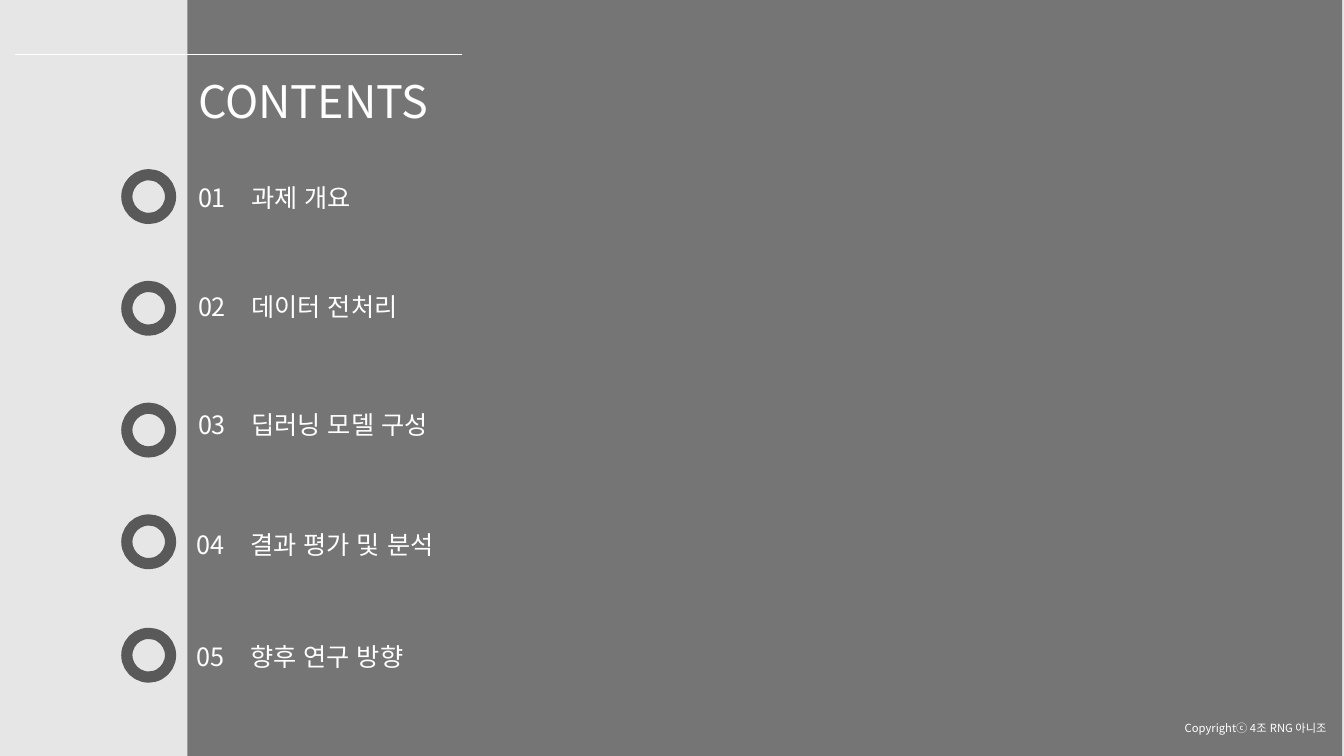
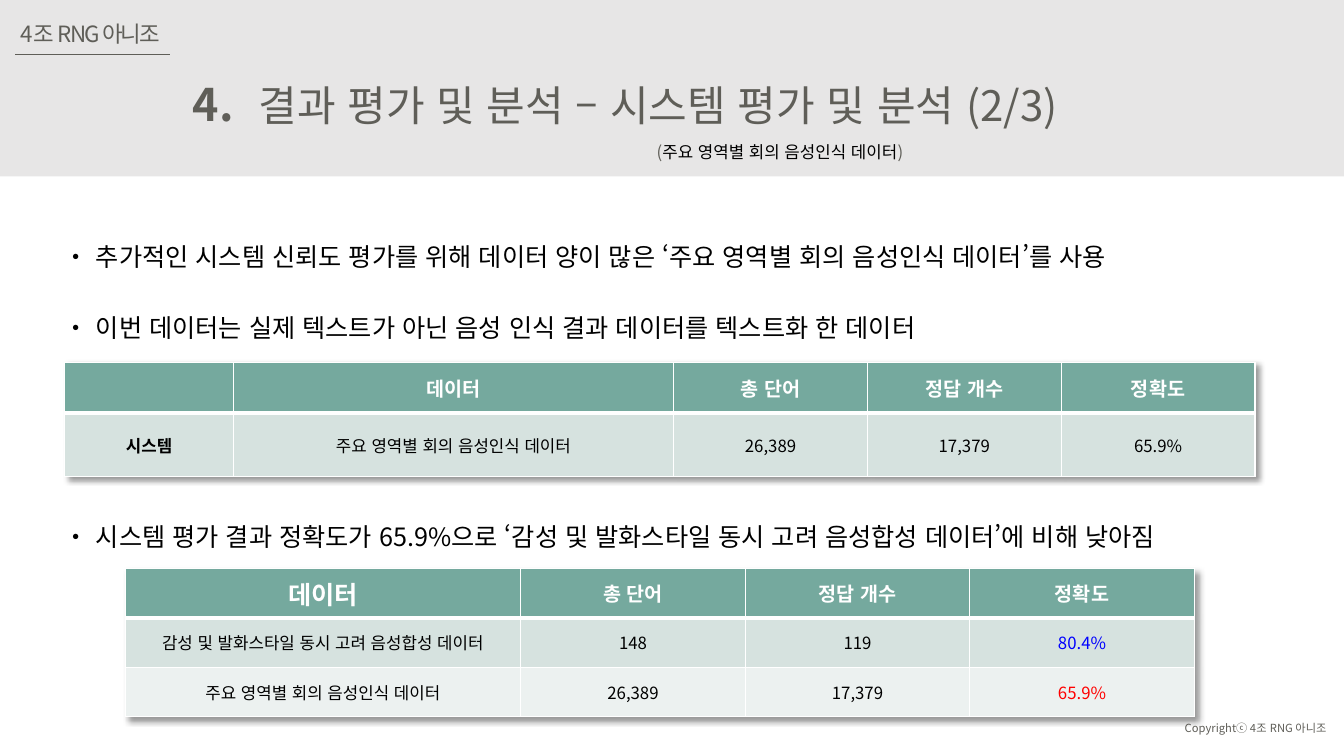
"""Build the contents slide and the system evaluation slide of a project deck."""
from dataclasses import dataclass
from typing import Any

import lxml.etree
import pptx
import pptx.dml.color
import pptx.enum.lang
import pptx.enum.shapes
import pptx.enum.text
import pptx.oxml.ns
import pptx.slide
import pptx.text.text
import pptx.util

COLUMNS, ROWS = 160, 90
WIDTH, HEIGHT = pptx.util.Inches(13.3333), pptx.util.Inches(7.5)
FONT = "Noto Sans CJK KR"
WHITE, BLACK, PALE = "FFFFFF", "000000", "E7E6E6"
DARK, INK = "595959", "5F5E58"
TEAL, TEAL_LIGHT, TEAL_FAINT = "75A99E", "D6E2DF", "ECF1F0"
BLUE, RED = "0000FF", "FF0000"
ALIGN = pptx.enum.text.PP_ALIGN
SHAPE = pptx.enum.shapes.MSO_SHAPE
RULE_LEFT, RULE_TOP = 1.8, 6.5
TEAM = "4조 RNG 아니조"
MEETING_DATA = "주요 영역별 회의 음성인식 데이터"


@dataclass(frozen=True)
class Box:
    """Place on the grid, in columns and rows."""
    left: float
    top: float
    width: float
    height: float

    def emu(self) -> tuple[int, int, int, int]:
        """Return left, top, width and height in EMU."""
        return col(self.left), row(self.top), col(self.width), row(self.height)


@dataclass(frozen=True)
class Style:
    """Look of a piece of text."""
    size: float
    color: str
    bold: bool = False
    align: Any = ALIGN.LEFT
    tracking: float = 0


@dataclass(frozen=True)
class Chapter:
    """One entry of the contents list."""
    label: str
    ring_top: float
    text_top: float
    shift: float = 0


@dataclass(frozen=True)
class Grid:
    """A table with its place, track sizes and cell texts."""
    left: float
    top: float
    widths: list[float]
    heights: list[float]
    cells: list[list[str]]
    special: dict[tuple[int, int], Style]


HEAD = Style(14, WHITE, True, ALIGN.CENTER)
CELL = Style(12, BLACK, False, ALIGN.CENTER)

CHAPTERS = [
    Chapter("과제 개요", 20.8, 21.1),
    Chapter("데이터 전처리", 34.1, 34.1),
    Chapter("딥러닝 모델 구성", 48.6, 48.2),
    Chapter("결과 평가 및 분석", 61.9, 62.4, -0.15),
    Chapter("향후 연구 방향", 75.4, 75.8, -0.15),
]
FINDINGS = [
    "‧ 추가적인 시스템 신뢰도 평가를 위해 데이터 양이 많은 ‘주요 영역별 회의 음성인식 데이터’를 사용",
    "‧ 이번 데이터는 실제 텍스트가 아닌 음성 인식 결과 데이터를 텍스트화 한 데이터",
    "‧ 시스템 평가 결과 정확도가 65.9%으로 ‘감성 및 발화스타일 동시 고려 음성합성 데이터’에 비해 낮아짐",
]
MEASURES = ["데이터", "총 단어", "정답 개수", "정확도"]
MEETING_ROW = [MEETING_DATA, "26,389", "17,379", "65.9%"]
TABLES = [
    Grid(7.7, 43.2, [20.1, 52.4] + [23.07] * 3, [6, 7.5],
         [["", *MEASURES], ["시스템", *MEETING_ROW]],
         {(1, 0): Style(12, BLACK, True, ALIGN.CENTER)}),
    Grid(14.9, 67.7, [47.1] + [26.73] * 3, [5.87] * 3,
         [MEASURES,
          ["감성 및 발화스타일 동시 고려 음성합성 데이터", "148", "119", "80.4%"],
          MEETING_ROW],
         {(0, 0): Style(18, WHITE, True, ALIGN.CENTER),
          (1, 3): Style(12, BLUE, False, ALIGN.CENTER),
          (2, 3): Style(12, RED, False, ALIGN.CENTER)}),
]


def col(n: float) -> int:
    """Convert grid columns to EMU."""
    return round(WIDTH * n / COLUMNS)


def row(n: float) -> int:
    """Convert grid rows to EMU."""
    return round(HEIGHT * n / ROWS)


def rgb(color: str) -> pptx.dml.color.RGBColor:
    """Convert a hex string to a colour."""
    return pptx.dml.color.RGBColor.from_string(color)


def add_xml(parent: Any, tag: str, **attributes: Any) -> Any:
    """Append a DrawingML element and return it."""
    values = {key: str(value) for key, value in attributes.items()}
    return lxml.etree.SubElement(parent, pptx.oxml.ns.qn(tag), values)


def format_run(r: Any, style: Style) -> None:
    """Apply a style to one run."""
    r.font.size = pptx.util.Pt(style.size)
    r.font.bold = style.bold
    r.font.color.rgb = rgb(style.color)
    r.font.name = FONT
    r.font.language_id = pptx.enum.lang.MSO_LANGUAGE_ID.KOREAN
    rPr = r.font._element
    rPr.set("kern", "0")
    add_xml(rPr, "a:ea", typeface=FONT)
    if style.tracking:
        rPr.set("spc", str(round(style.tracking * 100)))


def write(tf: pptx.text.text.TextFrame, text: str, style: Style) -> None:
    """Fill a text frame and format all of its runs."""
    tf.text = text
    for p in tf.paragraphs:
        p.alignment = style.align
        for r in p.runs:
            format_run(r, style)


def add_text(s: pptx.slide.Slide, box: Box, text: str,
             style: Style) -> pptx.text.text.TextFrame:
    """Add a wrapping text box that grows with its text."""
    tf = s.shapes.add_textbox(*box.emu()).text_frame
    tf.word_wrap = True
    tf.auto_size = pptx.enum.text.MSO_AUTO_SIZE.SHAPE_TO_FIT_TEXT
    write(tf, text, style)
    return tf


def add_panel(s: pptx.slide.Slide, box: Box, color: str, opacity: int = 100) -> None:
    """Add a borderless rectangle."""
    sp = s.shapes.add_shape(SHAPE.RECTANGLE, *box.emu())
    sp.shadow.inherit = False
    sp.line.fill.background()
    sp.fill.solid()
    sp.fill.fore_color.rgb = rgb(color)
    if opacity < 100:
        fill = sp._element.spPr.find(pptx.oxml.ns.qn("a:solidFill"))
        add_xml(fill[0], "a:alpha", val=opacity * 1000)


def add_ring(s: pptx.slide.Slide, box: Box) -> None:
    """Add a hollow circle with a thick outline."""
    sp = s.shapes.add_shape(SHAPE.OVAL, *box.emu())
    sp.shadow.inherit = False
    sp.fill.background()
    sp.line.color.rgb = rgb(DARK)
    sp.line.width = pptx.util.Pt(8)


def add_rule(s: pptx.slide.Slide, right: float, color: str) -> None:
    """Add the thin line near the top of the slide."""
    sp = s.shapes.add_connector(
        pptx.enum.shapes.MSO_CONNECTOR.STRAIGHT,
        col(RULE_LEFT), row(RULE_TOP), col(right), row(RULE_TOP))
    sp.line.color.rgb = rgb(color)
    sp.line.width = pptx.util.Pt(0.5)
    add_xml(sp._element.spPr, "a:effectLst")


def add_footer(s: pptx.slide.Slide, color: str) -> None:
    """Add the copyright line."""
    add_text(s, Box(129, 85.3, 30.1, 2.9), f"Copyrightⓒ {TEAM}",
             Style(8, color, align=ALIGN.RIGHT))


def add_borders(cell: Any, top: float, bottom: float) -> None:
    """Give a cell white borders, with widths in points."""
    tcPr = cell._tc.get_or_add_tcPr()
    widths = {"a:lnL": 1, "a:lnR": 1, "a:lnT": top, "a:lnB": bottom}
    for index, (tag, width) in enumerate(widths.items()):
        ln = add_xml(tcPr, tag, w=pptx.util.Pt(width))
        add_xml(add_xml(ln, "a:solidFill"), "a:srgbClr", val=WHITE)
        tcPr.insert(index, ln)


def add_table_shadow(table: Any) -> None:
    """Cast a soft shadow to the lower right of a table."""
    tblPr = table._tbl.tblPr
    effects = add_xml(tblPr, "a:effectLst")
    tblPr.insert(0, effects)
    shadow = add_xml(effects, "a:outerShdw", blurRad=50800, dist=38100,
                     dir=2700000, algn="tl", rotWithShape=0)
    add_xml(add_xml(shadow, "a:srgbClr", val=BLACK), "a:alpha", val=40000)


def add_grid(s: pptx.slide.Slide, grid: Grid) -> None:
    """Add a table with a teal header and light rows."""
    box = Box(grid.left, grid.top, sum(grid.widths), sum(grid.heights))
    table = s.shapes.add_table(len(grid.heights), len(grid.widths), *box.emu()).table
    add_table_shadow(table)
    for track, width in zip(table.columns, grid.widths):
        track.width = col(width)
    for track, height in zip(table.rows, grid.heights):
        track.height = row(height)
    fills = [TEAL, TEAL_LIGHT, TEAL_FAINT]
    for i, texts in enumerate(grid.cells):
        for j, text in enumerate(texts):
            cell = table.cell(i, j)
            cell.vertical_anchor = pptx.enum.text.MSO_ANCHOR.MIDDLE
            cell.fill.solid()
            cell.fill.fore_color.rgb = rgb(fills[i])
            add_borders(cell, 3 if i == 1 else 1, 3 if i == 0 else 1)
            style = grid.special.get((i, j), CELL if i else HEAD)
            write(cell.text_frame, text, style)


def new_slide(prs: Any, color: str) -> pptx.slide.Slide:
    """Add a blank slide with a plain background."""
    s = prs.slides.add_slide(prs.slide_layouts[6])
    s.background.fill.solid()
    s.background.fill.fore_color.rgb = rgb(color)
    return s


def build_contents(prs: Any) -> None:
    """Build the contents slide."""
    s = new_slide(prs, PALE)
    add_panel(s, Box(22.3, 0, 137.5, 90), DARK, 80)
    add_rule(s, 55, WHITE)
    add_text(s, Box(22.4, 8.2, 33.5, 7.7), "CONTENTS", Style(32, WHITE))
    style = Style(18, WHITE)
    for number, chapter in enumerate(CHAPTERS, 1):
        add_ring(s, Box(15.1, chapter.ring_top, 5.2, 5.2))
        add_text(s, Box(22.4 + chapter.shift, chapter.text_top, 5.8, 4.8),
                 f"{number:02}", style)
        add_text(s, Box(28.75 + chapter.shift, chapter.text_top, 30, 4.8),
                 chapter.label, style)
    add_footer(s, WHITE)


def build_evaluation(prs: Any) -> None:
    """Build the system evaluation slide."""
    s = new_slide(prs, WHITE)
    add_footer(s, INK)
    tf = add_text(s, Box(6.4, 24.5, 144.4, 42.1), "\n".join(FINDINGS),
                  Style(18, BLACK, align=ALIGN.JUSTIFY))
    for p in tf.paragraphs:
        p.line_spacing = 2.0
        p.space_after = pptx.util.Pt(8)
    tf.paragraphs[-1].space_before = pptx.util.Pt(97.5)
    add_panel(s, Box(0, 0, COLUMNS, 21), PALE)
    add_text(s, Box(1.3, 1.8, 27, 4.4), TEAM, Style(16, INK, tracking=-1.5))
    add_text(s, Box(19, 8.5, 10, 7.7), "4.", Style(32, INK, True, ALIGN.RIGHT))
    add_text(s, Box(29.6, 8.9, 107.3, 7.3),
             "결과 평가 및 분석 – 시스템 평가 및 분석 (2/3)", Style(30, INK))
    add_rule(s, 20.2, INK)
    tf = add_text(s, Box(77, 16.3, 68.3, 3.6), "(", Style(12, INK))
    for text, color in [(MEETING_DATA, BLACK), (")", INK)]:
        r = tf.paragraphs[0].add_run()
        r.text = text
        format_run(r, Style(12, color))
    for grid in TABLES:
        add_grid(s, grid)


def main() -> None:
    """Build and save the deck."""
    prs = pptx.Presentation()
    prs.slide_width, prs.slide_height = WIDTH, HEIGHT
    build_contents(prs)
    build_evaluation(prs)
    prs.save("out.pptx")


main()
